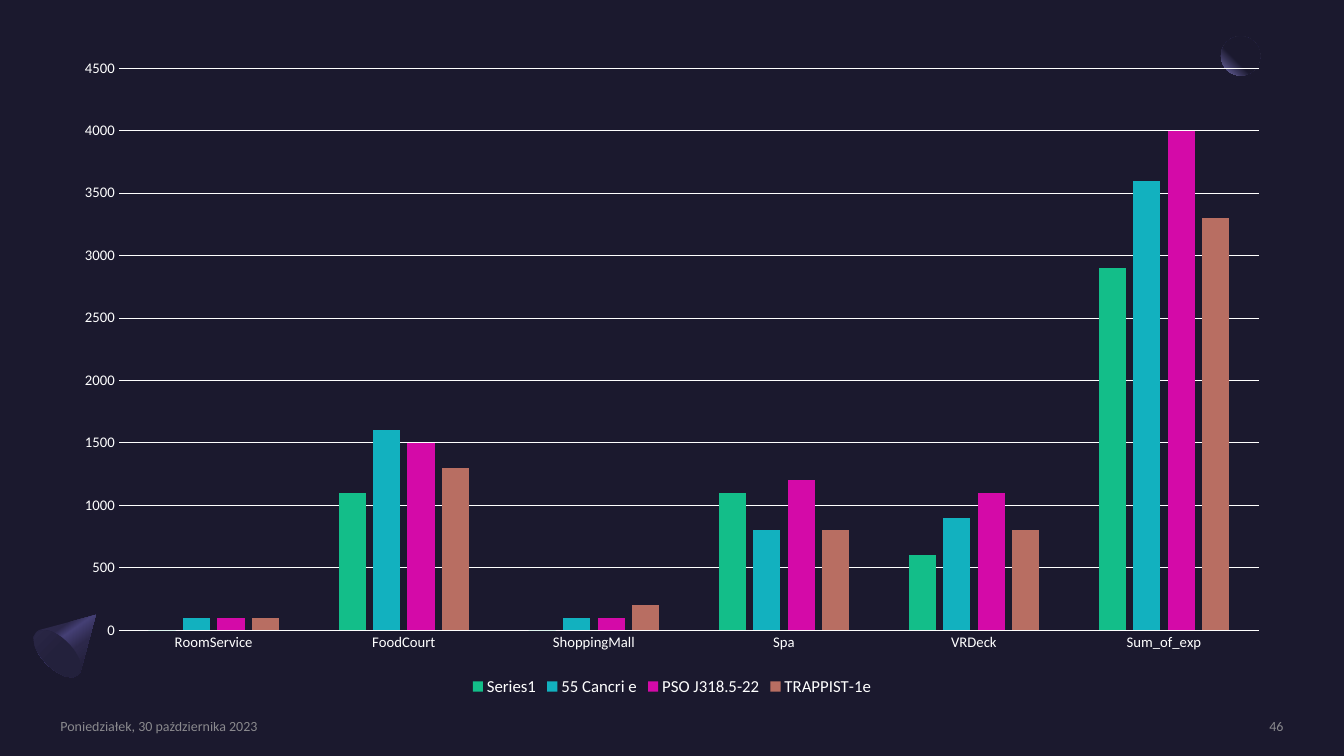
"""Builds a dark slide with a clustered column chart of spending by destination."""
from pptx import Presentation
from pptx.chart.data import CategoryChartData
from pptx.dml.color import RGBColor
from pptx.enum.chart import XL_CHART_TYPE, XL_LEGEND_POSITION, XL_TICK_MARK
from pptx.enum.shapes import MSO_SHAPE
from pptx.enum.text import MSO_ANCHOR, PP_ALIGN
from pptx.oxml import parse_xml
from pptx.oxml.ns import qn
from pptx.util import Inches, Pt

COLUMNS = XL_CHART_TYPE.COLUMN_CLUSTERED
BOTTOM = XL_LEGEND_POSITION.BOTTOM
NO_TICK = XL_TICK_MARK.NONE
ELLIPSE = MSO_SHAPE.OVAL
MIDDLE = MSO_ANCHOR.MIDDLE
LEFT, RIGHT = PP_ALIGN.LEFT, PP_ALIGN.RIGHT
DRAWING = "http://schemas.openxmlformats.org/drawingml/2006/main"

WIDTH, HEIGHT = 13.33, 7.5
MARGIN = 0.6
FONT = "Calibri"
NIGHT, WHITE, GREY = "1B192E", "FFFFFF", "A6A6A6"

CATEGORIES = ["RoomService", "FoodCourt", "ShoppingMall", "Spa", "VRDeck", "Sum_of_exp"]
SERIES = [
    ("Series1", "13BE89", [0, 1100, 0, 1100, 600, 2900]),
    ("55 Cancri e", "12B1BF", [100, 1600, 100, 800, 900, 3600]),
    ("PSO J318.5-22", "D40AA8", [100, 1500, 100, 1200, 1100, 4000]),
    ("TRAPPIST-1e", "B86E62", [100, 1300, 200, 800, 800, 3300]),
]
FOOTERS = [
    ("Poniedziałek, 30 października 2023", MARGIN, 2.88, LEFT),
    ("46", WIDTH - MARGIN - 1.85, 1.85, RIGHT),
]
CONE = [(95, 610), (80, 666), (78, 669), (72, 672), (64, 671), (55, 666), (46, 659),
        (39, 650), (34, 640), (33, 632), (36, 627), (39, 625)]
CONE_STOPS = [(30, "2C284A"), (40, "454075"), (60, "2C284A"), (100, NIGHT)]
BASE_STOPS = [(50, "23213C"), (100, "2C284A")]
MOON_STOPS = [(60, NIGHT), (100, "7771B2")]
MOON_GLOW = '<a:path path="circle"><a:fillToRect l="100000" b="100000"/></a:path>'


def color(value):
    return RGBColor.from_string(value)


def linear(degrees):
    return f'<a:lin ang="{degrees * 60000}" scaled="0"/>'


def style_gradient(shape, stops, direction):
    shape.shadow.inherit = False
    shape.line.fill.background()
    shape.fill.solid()
    marks = "".join(f'<a:gs pos="{share * 1000}"><a:srgbClr val="{value}"/></a:gs>'
                    for share, value in stops)
    gradient = parse_xml(f'<a:gradFill xmlns:a="{DRAWING}" rotWithShape="1">'
                         f'<a:gsLst>{marks}</a:gsLst>{direction}</a:gradFill>')
    properties = shape.fill._xPr
    properties.replace(properties.find(qn("a:solidFill")), gradient)


def style_font(font, size):
    font.name, font.size = FONT, Pt(size)
    font.color.rgb = color(WHITE)


def style_line(line):
    line.color.rgb = color(WHITE)
    line.width = Pt(0.75)


def add_ornaments(page):
    moon = page.shapes.add_shape(ELLIPSE, Inches(12.11), Inches(0.36), Inches(0.39), Inches(0.39))
    style_gradient(moon, MOON_STOPS, MOON_GLOW)
    builder = page.shapes.build_freeform(*CONE[0], scale=Inches(0.01))
    builder.add_line_segments(CONE[1:], close=True)
    style_gradient(builder.convert_to_shape(), CONE_STOPS, linear(55))
    base = page.shapes.add_shape(ELLIPSE, Inches(0.42), Inches(6.19), Inches(0.3), Inches(0.59))
    base.rotation = 135
    style_gradient(base, BASE_STOPS, linear(90))


def add_footer(page, text, left, width, alignment):
    box = page.shapes.add_textbox(Inches(left), Inches(7.12), Inches(width), Inches(0.17))
    frame = box.text_frame
    frame.word_wrap, frame.vertical_anchor = True, MIDDLE
    frame.margin_left = frame.margin_right = frame.margin_top = frame.margin_bottom = 0
    para = frame.paragraphs[0]
    para.alignment = alignment
    span = para.add_run()
    span.text = text
    style_font(span.font, 10)
    span.font.color.rgb = color(GREY)
    tint = span.font._element.find(".//" + qn("a:srgbClr"))
    tint.append(parse_xml(f'<a:alpha xmlns:a="{DRAWING}" val="80000"/>'))


def add_spending_chart(page):
    data = CategoryChartData(number_format="0")
    data.categories = CATEGORIES
    for name, _, values in SERIES:
        data.add_series(name, values)
    chart = page.shapes.add_chart(COLUMNS, Inches(MARGIN), Inches(0.46),
                                  Inches(WIDTH - 2 * MARGIN), Inches(6.49), data).chart
    style_font(chart.font, 10)
    chart.has_title = False
    chart.has_legend = True
    chart.legend.position = BOTTOM
    chart.legend.include_in_layout = False
    style_font(chart.legend.font, 12)

    plot = chart.plots[0]
    plot.gap_width, plot.overlap, plot.vary_by_categories = 219, -27, False
    for series, (_, value, _) in zip(plot.series, SERIES):
        series.format.fill.solid()
        series.format.fill.fore_color.rgb = color(value)

    for axis in (chart.category_axis, chart.value_axis):
        axis.major_tick_mark = axis.minor_tick_mark = NO_TICK
        style_font(axis.tick_labels.font, 10.5)
    style_line(chart.category_axis.format.line)
    amounts = chart.value_axis
    amounts.minimum_scale, amounts.maximum_scale, amounts.major_unit = 0, 4500, 500
    amounts.format.line.fill.background()
    amounts.has_major_gridlines = True
    style_line(amounts.major_gridlines.format.line)
    amounts.tick_labels.number_format = "0"
    amounts.tick_labels.number_format_is_linked = False


def main():
    deck = Presentation()
    deck.slide_width, deck.slide_height = Inches(WIDTH), Inches(HEIGHT)
    page = deck.slides.add_slide(deck.slide_layouts[6])
    page.background.fill.solid()
    page.background.fill.fore_color.rgb = color(NIGHT)
    add_ornaments(page)
    for footer in FOOTERS:
        add_footer(page, *footer)
    add_spending_chart(page)
    deck.save("out.pptx")


if __name__ == "__main__":
    main()
